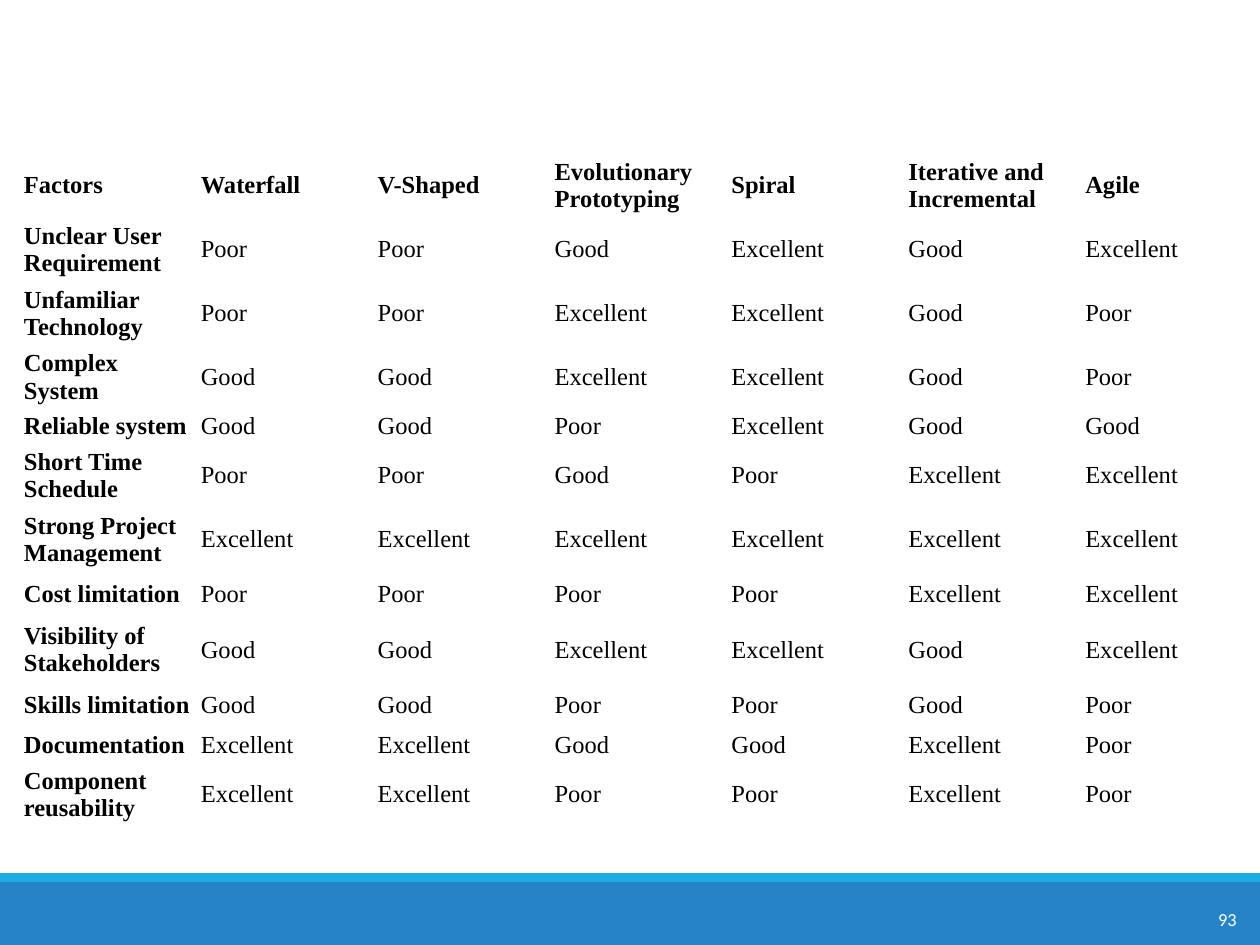
from pptx import Presentation
from pptx.dml.color import RGBColor
from pptx.enum.shapes import MSO_CONNECTOR, MSO_SHAPE
from pptx.enum.text import MSO_ANCHOR
from pptx.oxml.ns import qn
from pptx.util import Inches, Pt
from lxml.etree import SubElement

BLUE = RGBColor(0x26, 0x83, 0xC6)
CYAN = RGBColor(0x1C, 0xAD, 0xE4)
GRAY = RGBColor(0x80, 0x80, 0x80)
BLACK = RGBColor(0, 0, 0)
WHITE = RGBColor(0xFF, 0xFF, 0xFF)

P, G, E = "Poor", "Good", "Excellent"
TALL, MEDIUM, SHORT = 0.5, 0.37, 0.27
ROWS = [
    (TALL, "Factors", "Waterfall", "V-Shaped", "Evolutionary Prototyping",
     "Spiral", "Iterative and Incremental", "Agile"),
    (TALL, "Unclear User Requirement", P, P, G, E, G, E),
    (TALL, "Unfamiliar Technology", P, P, E, E, G, P),
    (TALL, "Complex System", G, G, E, E, G, P),
    (SHORT, "Reliable system", G, G, P, E, G, G),
    (TALL, "Short Time Schedule", P, P, G, P, E, E),
    (TALL, "Strong Project Management", E, E, E, E, E, E),
    (MEDIUM, "Cost limitation", P, P, P, P, E, E),
    (TALL, "Visibility of Stakeholders", G, G, E, E, G, E),
    (MEDIUM, "Skills limitation", G, G, P, P, G, P),
    (SHORT, "Documentation", E, E, G, G, E, P),
    (TALL, "Component reusability", E, E, P, P, E, P),
]


def add_text(tf, text, size=14, font="Times New Roman", color=BLACK, bold=False):
    r = tf.paragraphs[0].add_run()
    r.text = text
    r.font.size = Pt(size)
    r.font.name = font
    r.font.color.rgb = color
    r.font.bold = bold


prs = Presentation()
prs.slide_width = Inches(10)
prs.slide_height = Inches(7.5)
s = prs.slides.add_slide(prs.slide_layouts[6])

for top, height, color in [(7, 0.5, BLUE), (6.93, 0.07, CYAN)]:
    sp = s.shapes.add_shape(MSO_SHAPE.RECTANGLE, 0, Inches(top),
                            prs.slide_width, Inches(height))
    sp.shadow.inherit = False
    sp.fill.solid()
    sp.fill.fore_color.rgb = color
    sp.line.fill.background()

rule = s.shapes.add_connector(MSO_CONNECTOR.STRAIGHT, Inches(0.22), Inches(1.26),
                              Inches(9.82), Inches(1.25))
rule.line.color.rgb = GRAY
rule.line.width = Pt(0.5)
SubElement(rule._element.spPr, qn("a:effectLst"))

number = s.shapes.add_textbox(Inches(9.57), Inches(7.16), Inches(0.37), Inches(0.28))
number.text_frame.word_wrap = False
add_text(number.text_frame, "93", size=10.5, font="Calibri", color=WHITE)

n_cols = len(ROWS[0]) - 1
table = s.shapes.add_table(len(ROWS), n_cols, Inches(0.17), Inches(1.22),
                           Inches(9.83), Inches(sum(row[0] for row in ROWS))).table
table.first_row = False
table.horz_banding = False

for i, (height, *texts) in enumerate(ROWS):
    table.rows[i].height = Inches(height)
    for j, text in enumerate(texts):
        cell = table.cell(i, j)
        cell.fill.solid()
        cell.fill.fore_color.rgb = WHITE
        cell.vertical_anchor = MSO_ANCHOR.MIDDLE
        cell.margin_left = cell.margin_top = cell.margin_bottom = Inches(0.02)
        cell.margin_right = Inches(0.04)
        add_text(cell.text_frame, text, bold=i == 0 or j == 0)

prs.save("out.pptx")
